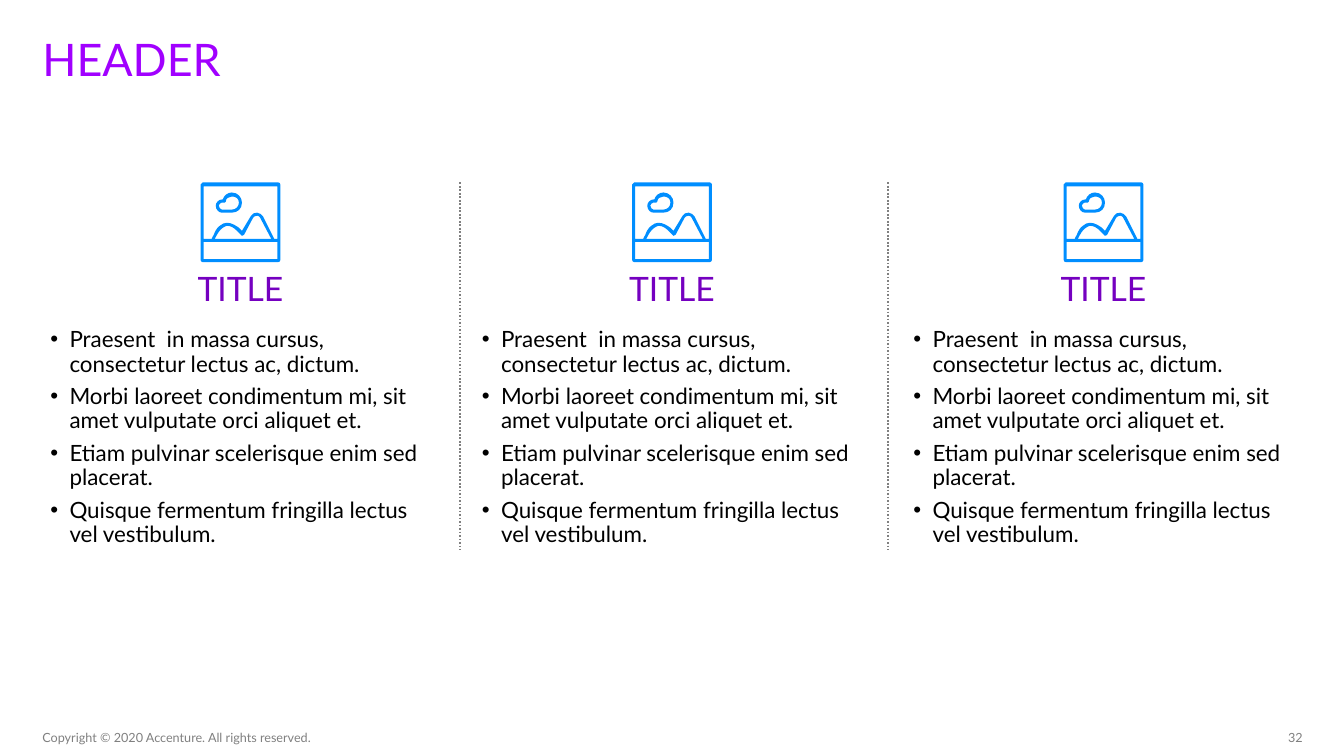
from dataclasses import dataclass

from lxml import etree
from pptx import Presentation
from pptx.dml.color import RGBColor
from pptx.enum.dml import MSO_LINE
from pptx.enum.shapes import MSO_CONNECTOR
from pptx.enum.text import MSO_ANCHOR, MSO_AUTO_SIZE, PP_ALIGN
from pptx.oxml.ns import qn
from pptx.util import Inches, Pt

LEFT, CENTER, RIGHT = PP_ALIGN.LEFT, PP_ALIGN.CENTER, PP_ALIGN.RIGHT
TOP, BOTTOM = MSO_ANCHOR.TOP, MSO_ANCHOR.BOTTOM
FIXED, GROW = MSO_AUTO_SIZE.NONE, MSO_AUTO_SIZE.SHAPE_TO_FIT_TEXT
STRAIGHT = MSO_CONNECTOR.STRAIGHT
DOTTED = MSO_LINE.ROUND_DOT


@dataclass(frozen=True)
class Theme:
    font: str = "Lato"
    header: RGBColor = RGBColor(0xA1, 0x00, 0xFF)
    heading: RGBColor = RGBColor(0x75, 0x00, 0xC0)
    body: RGBColor = RGBColor(0x00, 0x00, 0x00)
    muted: RGBColor = RGBColor(0x80, 0x80, 0x80)
    icon: RGBColor = RGBColor(0x00, 0x8E, 0xFF)
    header_size: int = 32
    heading_size: int = 24
    body_size: int = 16
    footer_size: int = 9


THEME = Theme()

MARGIN = 0.42
COLUMN_PITCH = 4.28
COLUMN_COUNT = 3
COLUMN_TOP, COLUMN_BOTTOM = 1.81, 5.45
DIVIDERS = (4.56, 8.81)
ICON_UNIT = Inches(0.01)

POINTS = [
    "Praesent  in massa cursus, consectetur lectus ac, dictum.",
    "Morbi laoreet condimentum mi, sit amet vulputate orci aliquet et.",
    "Etiam pulvinar scelerisque enim sed placerat.",
    "Quisque fermentum fringilla lectus vel vestibulum.",
]

FRAME = [(2, 0), (77, 0), (78, 0, 79, 1, 79, 2), (79, 77), (79, 78, 78, 79, 77, 79),
         (2, 79), (1, 79, 0, 78, 0, 77), (0, 2), (0, 1, 1, 0, 2, 0)]
SKY = [(76, 4), (76, 56), (73, 56), (62, 34), (61, 32, 58, 30, 56, 30),
       (53, 30, 51, 31, 50, 33), (41, 48), (40, 47, 39, 46, 38, 45),
       (35, 43, 31, 40, 26, 40), (24, 40, 21, 41, 19, 43),
       (16, 45, 14, 49, 13, 52), (12, 54, 11, 55, 11, 56), (3, 56), (3, 4)]
HILLS = [(40, 52), (40, 53, 41, 53, 41, 53), (42, 53, 42, 53, 43, 52), (52, 35),
         (53, 34, 54, 33, 56, 33), (57, 33, 59, 34, 59, 35), (70, 56), (14, 56),
         (15, 54, 16, 52, 18, 49), (19, 47, 21, 46, 22, 45),
         (24, 44, 25, 43, 26, 43), (30, 43, 33, 45, 36, 48),
         (37, 49, 38, 50, 39, 51), (39, 51, 39, 52, 40, 52)]
GROUND = [(3, 59), (76, 59), (76, 76), (3, 76)]
CLOUD = [(21, 30), (31, 30), (37, 30, 41, 26, 41, 20), (41, 15, 37, 10, 31, 10),
         (27, 10, 23, 13, 22, 17), (21, 17), (18, 17, 15, 20, 15, 23),
         (15, 27, 18, 30, 21, 30)]
CLOUD_INSIDE = [(21, 20), (24, 20), (25, 20, 25, 20, 25, 19),
                (25, 16, 28, 14, 31, 14), (35, 14, 38, 16, 38, 20),
                (38, 24, 35, 27, 31, 27), (21, 27), (20, 27, 18, 25, 18, 23),
                (18, 22, 20, 20, 21, 20)]


def place(shape, left, top, width, height):
    shape.left, shape.top = Inches(left), Inches(top)
    shape.width, shape.height = Inches(width), Inches(height)


def add_bullet(paragraph):
    properties = paragraph._p.get_or_add_pPr()
    properties.set("marL", str(Inches(0.19)))
    properties.set("indent", str(-Inches(0.19)))
    etree.SubElement(properties, qn("a:buFont"), typeface="Arial")
    etree.SubElement(properties, qn("a:buChar"), char="•")


def write(shape, lines, *, size, color, align=LEFT, anchor=TOP, spacing=1.0,
          inset=0, gap=0, bullets=False, fit=GROW):
    frame = shape.text_frame
    frame.word_wrap = True
    frame.auto_size = fit
    frame.vertical_anchor = anchor
    frame.margin_left = frame.margin_right = Inches(inset)
    frame.margin_top = frame.margin_bottom = Inches(0)
    for index, line in enumerate(lines):
        paragraph = frame.add_paragraph() if index else frame.paragraphs[0]
        if bullets:
            add_bullet(paragraph)
        paragraph.alignment = align
        paragraph.line_spacing = spacing
        paragraph.space_before = Pt(gap if index else 0)
        run = paragraph.add_run()
        run.text = line
        run.font.name = THEME.font
        run.font.size = Pt(size)
        run.font.color.rgb = color


def add_text(slide, box, lines, **text_format):
    write(slide.shapes.add_textbox(*map(Inches, box)), lines, **text_format)


def bend(outline, contours):
    ends = [segment[-2:] for contour in contours for segment in contour]
    left, top = min(x for x, _ in ends), min(y for _, y in ends)
    segments = [segment for contour in contours for segment in contour[1:]]
    for edge, segment in zip(list(outline._element.iter(qn("a:lnTo"))), segments):
        if len(segment) == 2:
            continue
        edge.tag = qn("a:cubicBezTo")
        edge.remove(edge[0])
        for x, y in zip(segment[::2], segment[1::2]):
            etree.SubElement(edge, qn("a:pt"), x=str((x - left) * ICON_UNIT),
                             y=str((y - top) * ICON_UNIT))


def add_outline(shapes, left, top, contours):
    first, *others = [[segment[-2:] for segment in contour] for contour in contours]
    builder = shapes.build_freeform(*first[0], scale=ICON_UNIT)
    builder.add_line_segments(first[1:])
    for corners in others:
        builder.move_to(*corners[0])
        builder.add_line_segments(corners[1:])
    outline = builder.convert_to_shape(Inches(left), Inches(top))
    path = next(outline._element.iter(qn("a:path")))
    path.set("w", str(outline.width))
    path.set("h", str(outline.height))
    for point in path.iter(qn("a:pt")):
        for axis in "xy":
            point.set(axis, str(int(point.get(axis)) * ICON_UNIT))
    bend(outline, contours)
    outline.shadow.inherit = False
    outline.fill.solid()
    outline.fill.fore_color.rgb = THEME.icon
    outline.line.fill.background()


def add_landscape_icon(slide, left, top):
    icon = slide.shapes.add_group_shape()
    add_outline(icon.shapes, left, top, [FRAME, SKY, HILLS, GROUND])
    add_outline(icon.shapes, left, top, [CLOUD, CLOUD_INSIDE])


def add_column(slide, left):
    add_landscape_icon(slide, left + 1.57, COLUMN_TOP)
    add_text(slide, (left + 0.36, 2.74, 3.21, 0.33), ["TITLE"], align=CENTER,
             size=THEME.heading_size, color=THEME.heading, spacing=0.8)
    add_text(slide, (left, 3.26, 3.94, 2.19), POINTS, size=THEME.body_size,
             color=THEME.body, spacing=0.9, inset=0.08, gap=6, bullets=True)


def add_divider(shapes, x):
    divider = shapes.add_connector(STRAIGHT, Inches(x), Inches(COLUMN_TOP),
                                   Inches(x), Inches(COLUMN_BOTTOM))
    divider.line.color.rgb = THEME.muted
    divider.line.width = Pt(1.25)
    divider.line.dash_style = DOTTED
    etree.SubElement(divider._element.spPr, qn("a:effectLst"))


def add_footer(slide):
    footer_format = dict(size=THEME.footer_size, color=THEME.muted, anchor=BOTTOM)
    add_text(slide, (MARGIN, 7.24, 2.98, 0.15),
             ["Copyright © 2020 Accenture. All rights reserved."], **footer_format)
    add_text(slide, (12.24, 7.24, 0.68, 0.15), ["32"], align=RIGHT, **footer_format)


def main():
    presentation = Presentation()
    presentation.slide_width = Inches(13.33)
    presentation.slide_height = Inches(7.5)
    slide = presentation.slides.add_slide(presentation.slide_layouts[5])

    header = slide.shapes.title
    place(header, MARGIN, 0.42, 12.5, 0.98)
    write(header, ["HEADER"], size=THEME.header_size, color=THEME.header,
          spacing=0.8, fit=FIXED)

    for column in range(COLUMN_COUNT):
        add_column(slide, MARGIN + column * COLUMN_PITCH)
    dividers = slide.shapes.add_group_shape()
    for x in DIVIDERS:
        add_divider(dividers.shapes, x)
    add_footer(slide)

    presentation.save("out.pptx")


if __name__ == "__main__":
    main()
